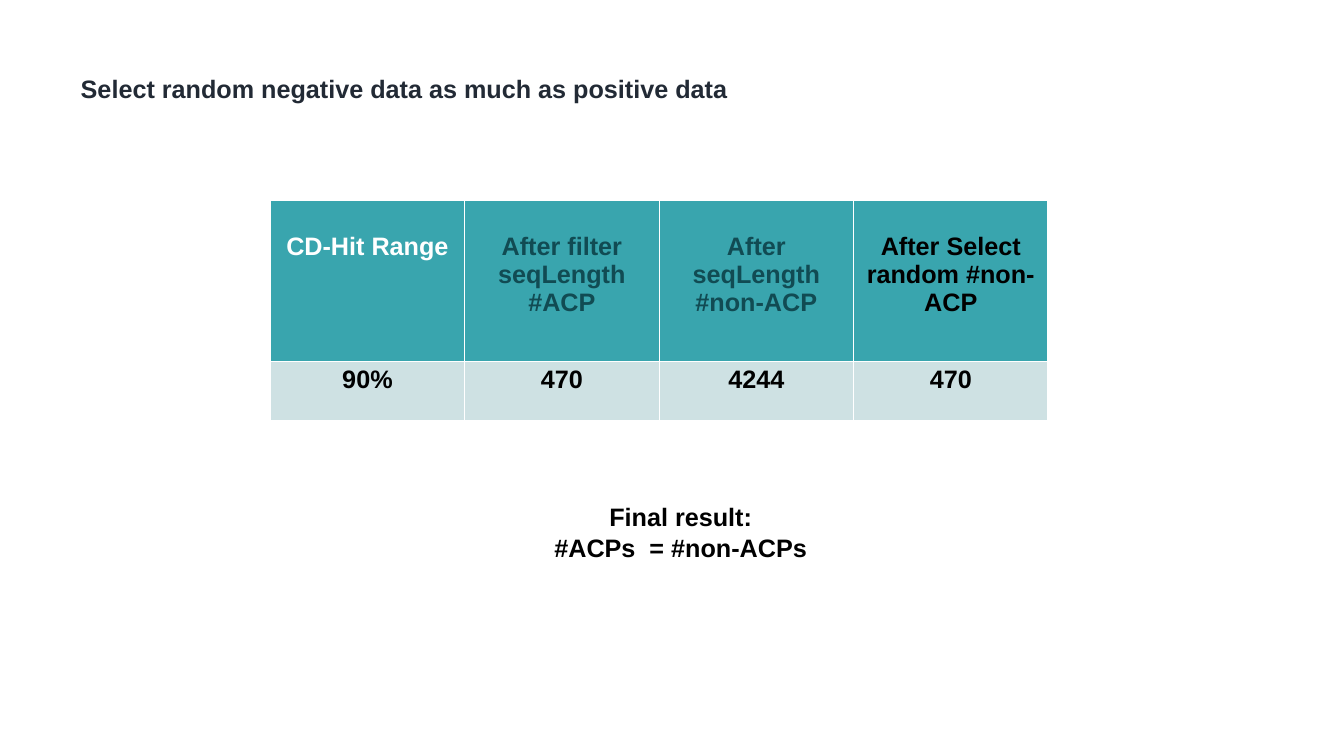
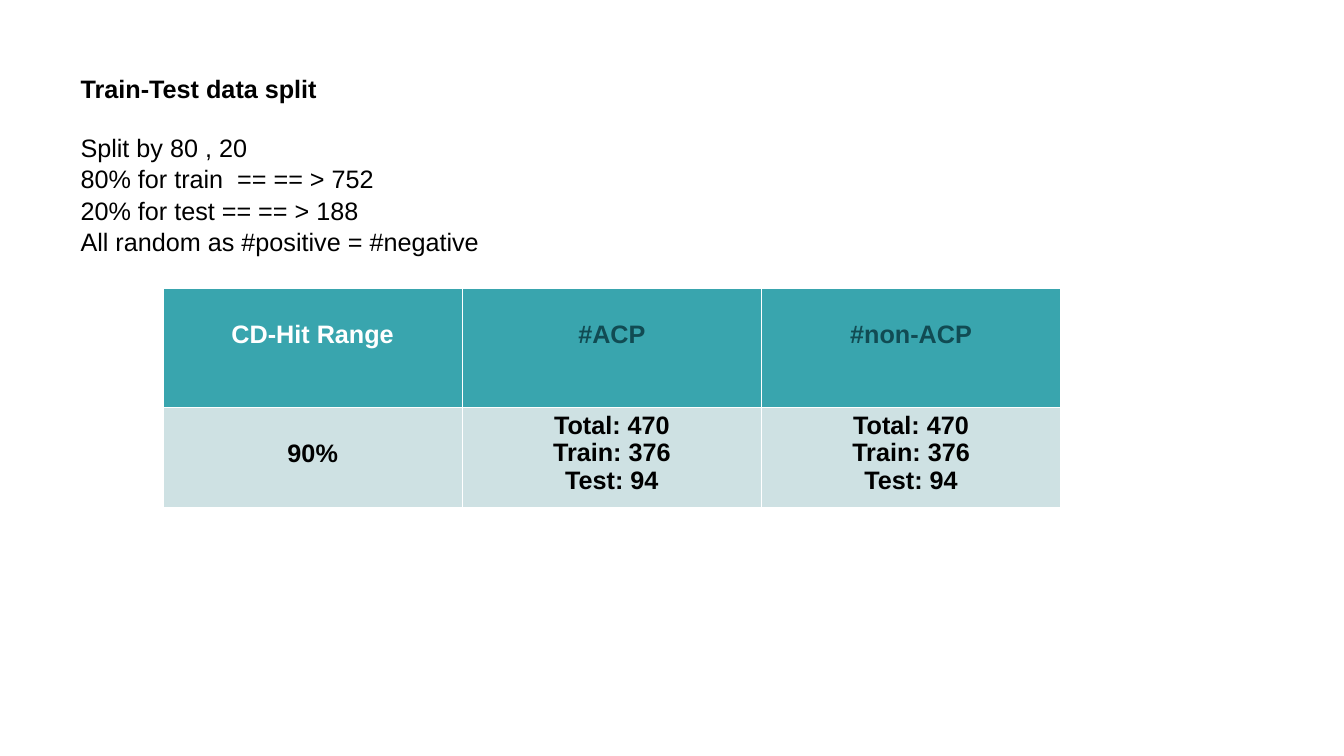
"""Build two slides on balancing and splitting peptide data."""
from pptx import Presentation
from pptx.dml.color import RGBColor
from pptx.enum.text import MSO_ANCHOR, MSO_AUTO_SIZE, PP_ALIGN
from pptx.util import Cm, Pt

WHITE = RGBColor(0xFF, 0xFF, 0xFF)
BLACK = RGBColor(0, 0, 0)
NAVY = RGBColor(0x22, 0x2A, 0x35)
PINE = RGBColor(0x11, 0x4B, 0x53)
TEAL = RGBColor(0x39, 0xA5, 0xAE)
MIST = RGBColor(0xCE, 0xE1, 0xE3)

TITLE_BOX = (1.78, 1.68, 22.63, 1.02)
LEAD = 0.84
SPLIT = ["Total: 470", "Train: 376", "Test: 94"]

SLIDES = [
    {
        "title": "Select random negative data as much as positive data",
        "color": NAVY,
        "table": {
            "at": (6.81, 5.05), "col": 4.9, "rows": (4.06, 1.5),
            "head": [
                (["CD-Hit Range"], WHITE),
                (["After filter seqLength", "#ACP"], PINE),
                (["After seqLength", "#non-ACP"], PINE),
                (["After Select random #non-ACP"], BLACK),
            ],
            "body": [["90%"], ["470"], ["4244"], ["470"]],
            "low": (),
        },
        "note": {
            "lines": ["Final result:", "#ACPs  = #non-ACPs"],
            "box": (6.07, 12.47, 22.17, 1.8),
            "bold": True, "align": PP_ALIGN.CENTER,
        },
    },
    {
        "title": "Train-Test data split",
        "color": BLACK,
        "table": {
            "at": (4.11, 7.26), "col": 7.54, "rows": (3, 2.54),
            "head": [
                (["CD-Hit Range"], WHITE),
                (["#ACP"], PINE),
                (["#non-ACP"], PINE),
            ],
            "body": [["90%"], SPLIT, SPLIT],
            "low": (0,),
        },
        "note": {
            "lines": [
                "Split by 80 , 20",
                "80% for train  == == > 752",
                "20% for test == == > 188",
                "All random as #positive = #negative",
            ],
            "box": (1.78, 3.18, 15.47, 3.33),
            "bold": False, "align": PP_ALIGN.LEFT,
        },
    },
]


def write(frame, lines, color=BLACK, bold=True, align=PP_ALIGN.LEFT, gap=1.04):
    frame.word_wrap = True
    for i, line in enumerate(lines):
        para = frame.paragraphs[0] if i == 0 else frame.add_paragraph()
        para.alignment = align
        para.line_spacing = gap
        run = para.add_run()
        run.text = line
        font = run.font
        font.name, font.size, font.bold = "Arial", Pt(18), bold
        font.color.rgb = color


def add_title(slide, text, color):
    title = slide.shapes.title
    title.left, title.top, title.width, title.height = map(Cm, TITLE_BOX)
    frame = title.text_frame
    frame.auto_size = MSO_AUTO_SIZE.NONE
    frame.vertical_anchor = MSO_ANCHOR.TOP
    write(frame, [text], color=color)


def fill_cell(cell, lines, fill, color, low):
    cell.fill.solid()
    cell.fill.fore_color.rgb = fill
    if low:
        cell.margin_top = Cm(LEAD)
    write(cell.text_frame, lines, color=color, align=PP_ALIGN.CENTER, gap=0.98)


def add_grid(slide, data):
    count = len(data["head"])
    left, top = data["at"]
    table = slide.shapes.add_table(
        2, count, Cm(left), Cm(top),
        Cm(data["col"] * count), Cm(sum(data["rows"]))).table
    for row, height in zip(table.rows, data["rows"]):
        row.height = Cm(height)
    for i, (lines, color) in enumerate(data["head"]):
        table.columns[i].width = Cm(data["col"])
        fill_cell(table.cell(0, i), lines, TEAL, color, True)
        fill_cell(table.cell(1, i), data["body"][i], MIST, BLACK,
                  i in data["low"])


def add_note(slide, lines, box, **style):
    shape = slide.shapes.add_textbox(*map(Cm, box))
    write(shape.text_frame, lines, **style)


def main():
    deck = Presentation()
    deck.slide_width, deck.slide_height = Cm(33.87), Cm(19.05)
    for page in SLIDES:
        slide = deck.slides.add_slide(deck.slide_layouts[5])
        add_title(slide, page["title"], page["color"])
        add_grid(slide, page["table"])
        add_note(slide, **page["note"])
    deck.save("out.pptx")


if __name__ == "__main__":
    main()
